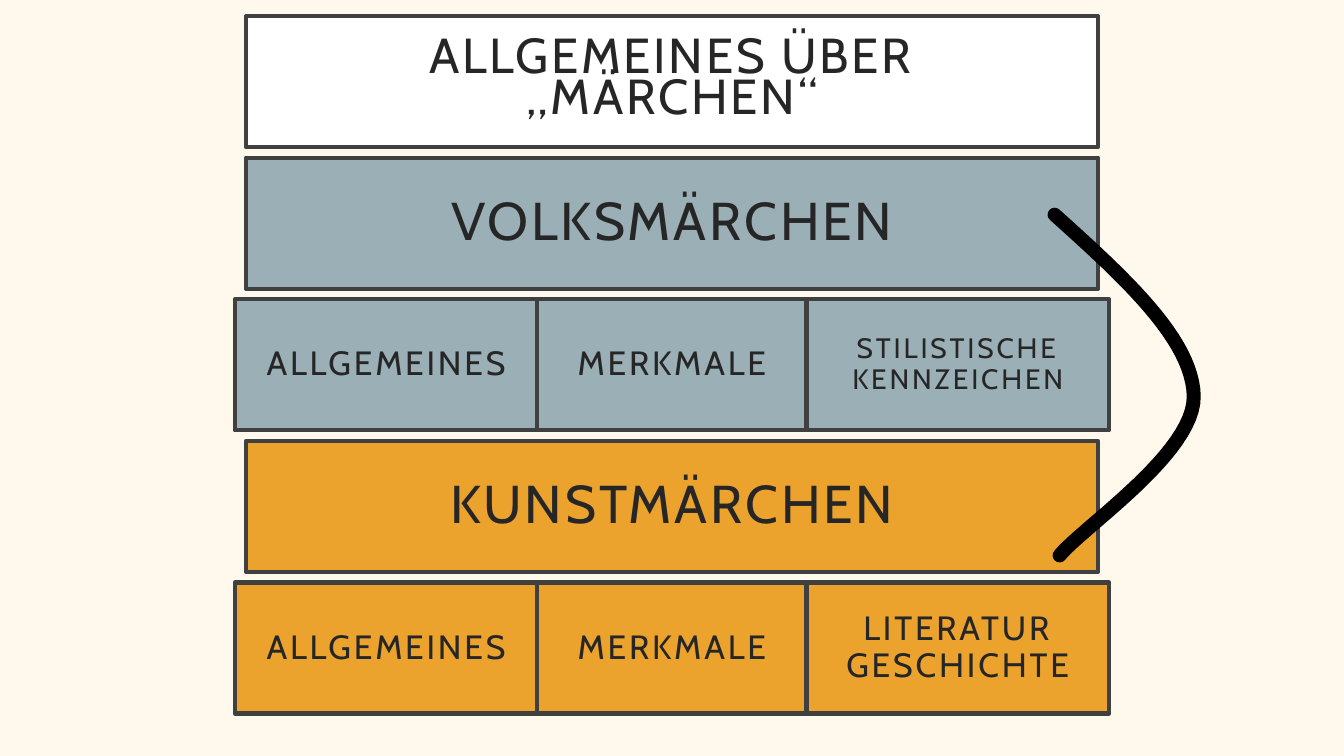
import dataclasses
import typing

import lxml.etree
import pptx
import pptx.dml.color
import pptx.enum.shapes
import pptx.enum.text
import pptx.oxml.ns
import pptx.slide
import pptx.util

Point = tuple[float, float]


@dataclasses.dataclass(frozen=True)
class Theme:
    background: str = "FFF8EC"
    white: str = "FFFFFF"
    folk: str = "9BAFB6"
    literary: str = "ECA32E"
    border: str = "404040"
    text: str = "262626"
    arc: str = "000000"
    font: str = "Cabin"
    title_size: float = 35.1
    heading_size: float = 38
    topic_size: float = 24
    small_size: float = 20
    border_width: float = 3
    arc_width: float = 10
    letter_spacing: float = 2


@dataclasses.dataclass(frozen=True)
class Grid:
    width: float = 13.33
    height: float = 7.5
    top: float = 0.16
    row_pitch: float = 1.4
    row_height: float = 1.3
    banner_width: float = 8.45
    columns: tuple[float, ...] = (3, 2.67, 3)
    inset_x: float = 0.3
    inset_y: float = 0.2


class Cell(typing.NamedTuple):
    text: str
    size: float
    line_spacing: float = 0.9


class Row(typing.NamedTuple):
    fill: str
    cells: tuple[Cell, ...]


class Curve(typing.NamedTuple):
    start: Point
    first_control: Point
    second_control: Point
    end: Point


THEME = Theme()
GRID = Grid(row_pitch=(5.78 - Grid.top) / 4)
GENERAL = Cell("ALLGEMEINES", THEME.topic_size)
FEATURES = Cell("MERKMALE", THEME.topic_size)
ROWS = (
    Row(THEME.white, (Cell("ALLGEMEINES ÜBER „MÄRCHEN“", THEME.title_size, 0.7),)),
    Row(THEME.folk, (Cell("VOLKSMÄRCHEN", THEME.heading_size),)),
    Row(THEME.folk, (GENERAL, FEATURES, Cell("STILISTISCHE KENNZEICHEN", THEME.small_size))),
    Row(THEME.literary, (Cell("KUNSTMÄRCHEN", THEME.heading_size),)),
    Row(THEME.literary, (GENERAL, FEATURES, Cell("LITERATUR GESCHICHTE", THEME.topic_size))),
)
ARC = (
    Curve((10.46, 2.13), (11.15, 2.75), (11.83, 3.37), (11.84, 3.93)),
    Curve((11.84, 3.93), (11.85, 4.49), (10.74, 5.23), (10.51, 5.51)),
)
ARC_STEPS = 24


def color(value: str) -> pptx.dml.color.RGBColor:
    return pptx.dml.color.RGBColor.from_string(value)


def draw_cell(slide: pptx.slide.Slide, cell: Cell, fill: str,
              left: float, top: float, width: float) -> None:
    shape = slide.shapes.add_shape(
        pptx.enum.shapes.MSO_SHAPE.RECTANGLE,
        *map(pptx.util.Inches, (left, top, width, GRID.row_height)))
    shape.shadow.inherit = False
    shape.fill.solid()
    shape.fill.fore_color.rgb = color(fill)
    shape.line.color.rgb = color(THEME.border)
    shape.line.width = pptx.util.Pt(THEME.border_width)
    frame = shape.text_frame
    frame.word_wrap = True
    frame.vertical_anchor = pptx.enum.text.MSO_ANCHOR.MIDDLE
    frame.margin_left = frame.margin_right = pptx.util.Inches(GRID.inset_x)
    frame.margin_top = frame.margin_bottom = pptx.util.Inches(GRID.inset_y)
    paragraph = frame.paragraphs[0]
    paragraph.alignment = pptx.enum.text.PP_ALIGN.CENTER
    paragraph.line_spacing = cell.line_spacing
    run = paragraph.add_run()
    run.text = cell.text
    run.font.name = THEME.font
    run.font.size = pptx.util.Pt(cell.size)
    run.font.color.rgb = color(THEME.text)
    run.font._element.set("spc", str(round(THEME.letter_spacing * 100)))


def draw_row(slide: pptx.slide.Slide, index: int, row: Row) -> None:
    widths = GRID.columns if len(row.cells) > 1 else (GRID.banner_width,)
    left = (GRID.width - sum(widths)) / 2
    top = GRID.top + index * GRID.row_pitch
    for cell, width in zip(row.cells, widths):
        draw_cell(slide, cell, row.fill, left, top, width)
        left += width


def curve_point(curve: Curve, share: float) -> Point:
    rest = 1 - share
    weights = (rest ** 3, 3 * rest ** 2 * share, 3 * rest * share ** 2, share ** 3)
    x, y = (pptx.util.Inches(sum(weight * value for weight, value in zip(weights, axis)))
            for axis in zip(*curve))
    return x, y


def draw_arc(slide: pptx.slide.Slide, curves: tuple[Curve, ...]) -> None:
    points = [curve_point(curve, step / ARC_STEPS)
              for curve in curves for step in range(1, ARC_STEPS + 1)]
    builder = slide.shapes.build_freeform(*curve_point(curves[0], 0))
    builder.add_line_segments(points, close=False)
    shape = builder.convert_to_shape()
    shape.shadow.inherit = False
    shape.fill.background()
    shape.line.color.rgb = color(THEME.arc)
    shape.line.width = pptx.util.Pt(THEME.arc_width)
    outline = shape.element.spPr.find(pptx.oxml.ns.qn("a:ln"))
    outline.set("cap", "rnd")
    lxml.etree.SubElement(outline, pptx.oxml.ns.qn("a:round"))


def main() -> None:
    presentation = pptx.Presentation()
    presentation.slide_width = pptx.util.Inches(GRID.width)
    presentation.slide_height = pptx.util.Inches(GRID.height)
    slide = presentation.slides.add_slide(presentation.slide_layouts[6])
    slide.background.fill.solid()
    slide.background.fill.fore_color.rgb = color(THEME.background)
    for index, row in enumerate(ROWS):
        draw_row(slide, index, row)
    draw_arc(slide, ARC)
    presentation.save("out.pptx")


if __name__ == "__main__":
    main()
